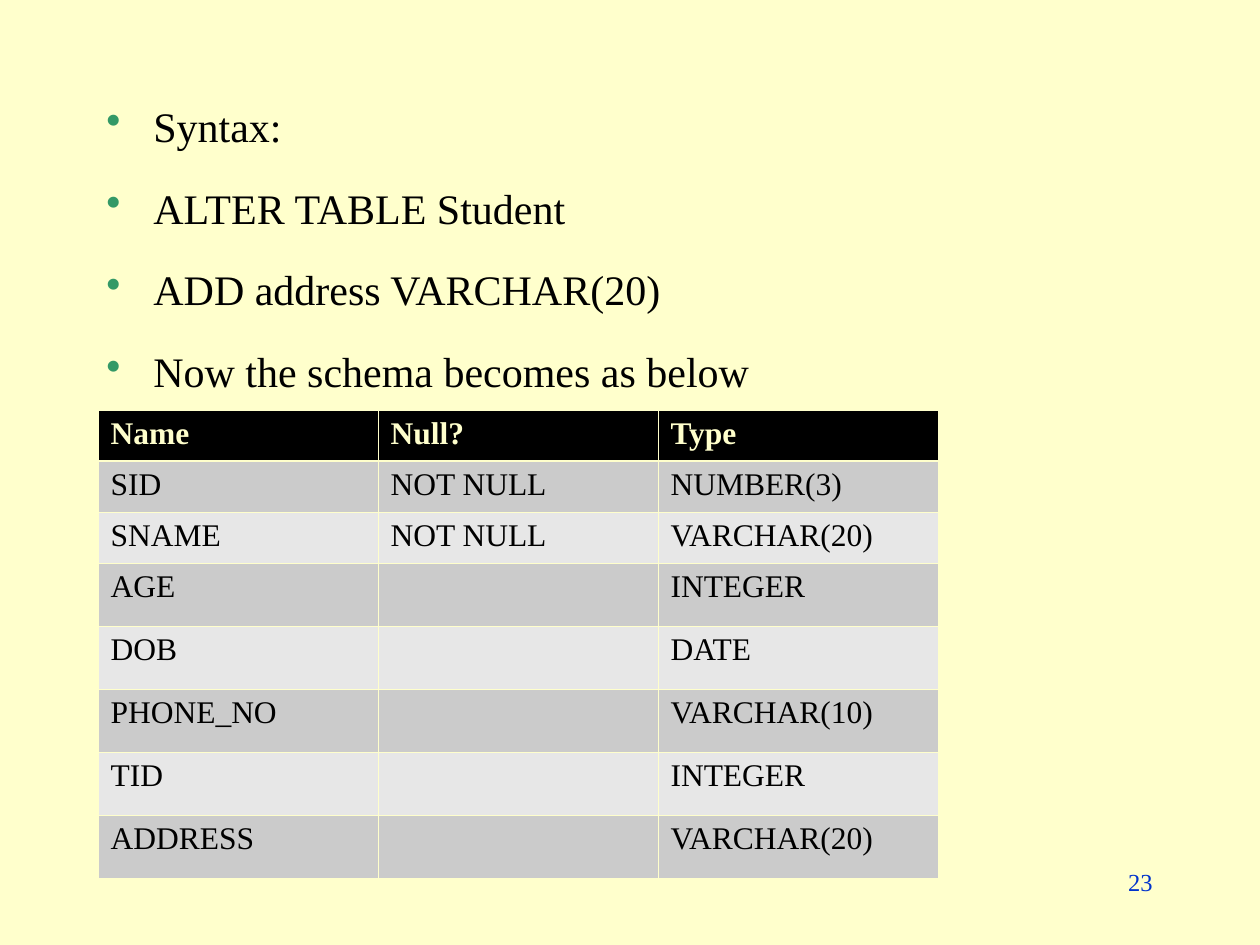
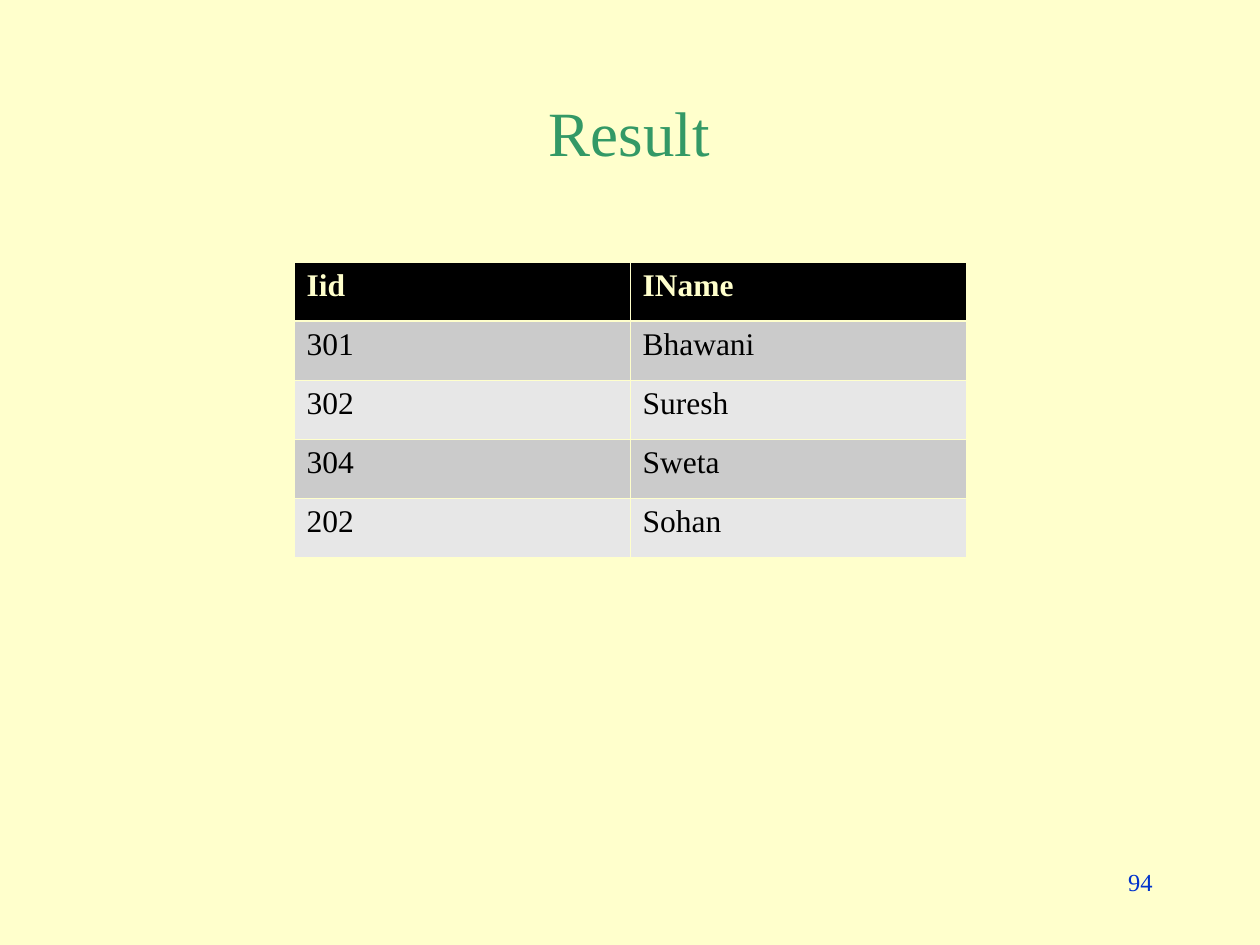
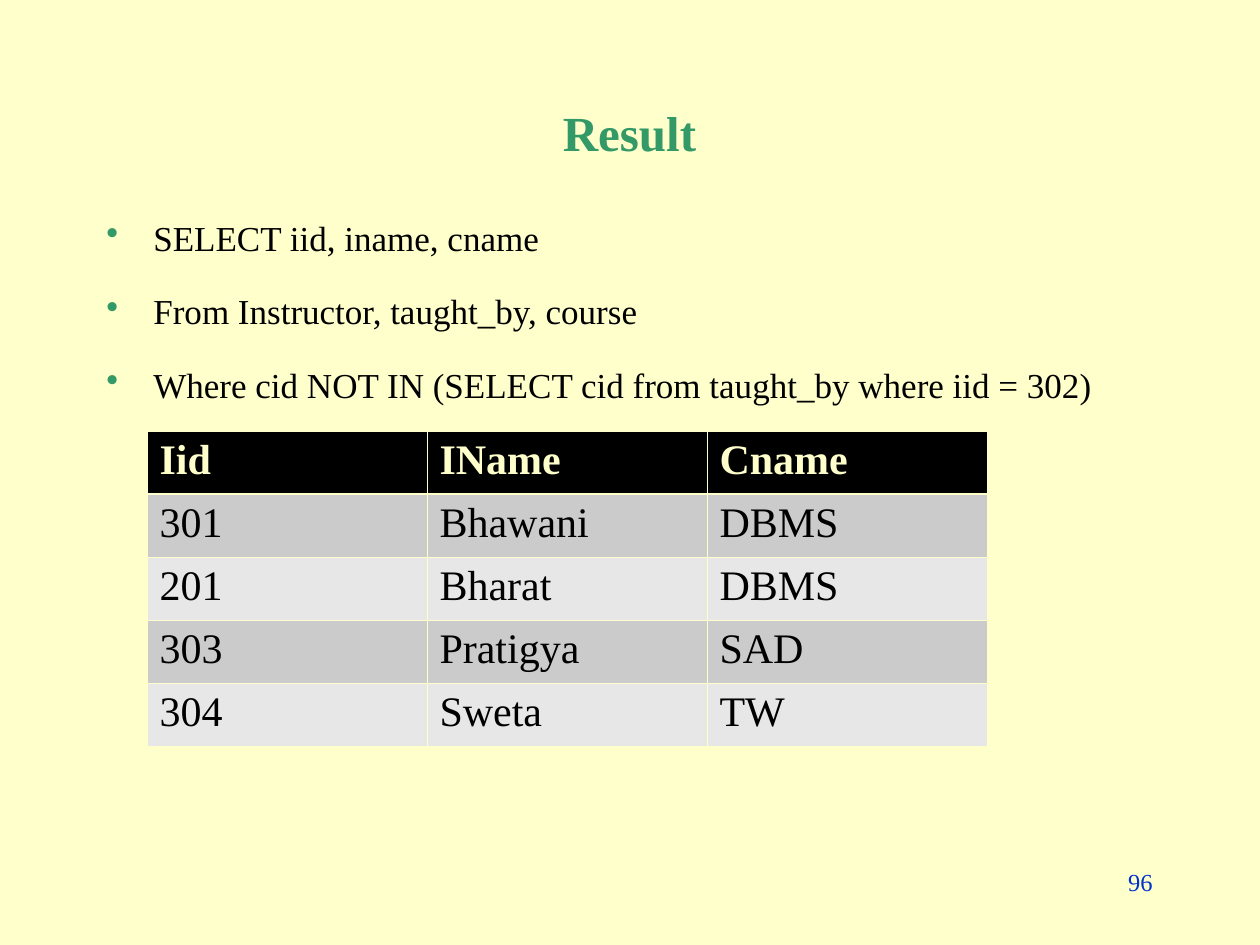
from lxml.etree import SubElement
from pptx import Presentation
from pptx.dml.color import RGBColor
from pptx.enum.text import MSO_ANCHOR as Anchor, PP_ALIGN as Align
from pptx.oxml.ns import qn
from pptx.util import Emu, Pt

FONT = "Times New Roman"
CREAM = "FFFFCC"
GREEN = "339966"
BLUE = "0033CC"
BLACK = "000000"
BANDS = ("E7E7E7", "CBCBCB")
THIN, THICK = 0.45, 1.47


def px(length):
    return Emu(round(length * 914400 / 126))


def color(code):
    return RGBColor.from_string(code)


def write(paragraph, text, size=18, ink=BLACK, bold=False, align=Align.LEFT, before=0):
    paragraph.alignment = align
    paragraph.space_before = Pt(before)
    run = paragraph.add_run()
    run.text = text
    run.font.name = FONT
    run.font.size = Pt(size)
    run.font.bold = bold
    run.font.color.rgb = color(ink)


def add_bullet(paragraph):
    properties = paragraph._p.get_or_add_pPr()
    properties.set("marL", str(px(47)))
    properties.set("indent", str(-px(47)))
    bullet_color = SubElement(properties, qn("a:buClr"))
    SubElement(bullet_color, qn("a:srgbClr"), val=GREEN)
    SubElement(properties, qn("a:buChar"), char="•")


def add_border(cell, side, width):
    properties = cell._tc.get_or_add_tcPr()
    line = SubElement(properties, qn(f"a:ln{side}"), w=str(Pt(width)))
    fill = SubElement(line, qn("a:solidFill"))
    SubElement(fill, qn("a:srgbClr"), val=CREAM)


def size_empty(paragraph, size):
    ending = SubElement(paragraph._p, qn("a:endParaRPr"), sz=str(size * 100))
    SubElement(ending, qn("a:latin"), typeface=FONT)


class Deck:
    def __init__(self):
        self.presentation = Presentation()
        self.presentation.slide_width = px(1260)
        self.presentation.slide_height = px(945)
        self.slide = None

    def add_slide(self, number):
        layout = self.presentation.slide_layouts[6]
        self.slide = self.presentation.slides.add_slide(layout)
        background = self.slide.background.fill
        background.solid()
        background.fore_color.rgb = color(CREAM)
        frame = self.add_box(903, 861, 262, 63)
        write(frame.paragraphs[0], str(number), size=14, ink=BLUE, align=Align.RIGHT)

    def add_box(self, left, top, width, height):
        shape = self.slide.shapes.add_textbox(px(left), px(top), px(width), px(height))
        shape.text_frame.word_wrap = True
        return shape.text_frame

    def add_title(self, text, size, bold=False):
        frame = self.add_box(94, 84, 1071, 95)
        frame.vertical_anchor = Anchor.MIDDLE
        write(frame.paragraphs[0], text, size=size, ink=GREEN, bold=bold, align=Align.CENTER)

    def add_bullets(self, top, height, lines, size):
        frame = self.add_box(94, top, 1071, height)
        for index, text in enumerate(lines):
            paragraph = frame.add_paragraph() if index else frame.paragraphs[0]
            write(paragraph, text, size=size, before=18 if index else 0)
            add_bullet(paragraph)

    def add_table(self, left, top, column_width, row_height, rows, size=18):
        count = len(rows[0])
        table = self.slide.shapes.add_table(
            len(rows), count, px(left), px(top),
            px(column_width * count), px(row_height * len(rows))).table
        table.horz_banding = False
        for column in table.columns:
            column.width = px(column_width)
        for row_index, values in enumerate(rows):
            table.rows[row_index].height = px(row_height)
            for column_index, text in enumerate(values):
                self.fill_cell(table.cell(row_index, column_index), row_index, text, size)

    def fill_cell(self, cell, row_index, text, size):
        header = row_index == 0
        add_border(cell, "L", THIN)
        add_border(cell, "R", THIN)
        add_border(cell, "T", THICK if row_index == 1 else THIN)
        add_border(cell, "B", THICK if header else THIN)
        cell.fill.solid()
        cell.fill.fore_color.rgb = color(BLACK if header else BANDS[row_index % 2])
        paragraph = cell.text_frame.paragraphs[0]
        if text:
            write(paragraph, text, size=size, ink=CREAM if header else BLACK, bold=header)
        else:
            size_empty(paragraph, 24)


def main():
    deck = Deck()

    deck.add_slide(23)
    deck.add_bullets(94, 746, [
        "Syntax:",
        "ALTER TABLE Student",
        "ADD address VARCHAR(20)",
        "Now the schema becomes as below",
    ], size=24)
    deck.add_table(98, 410, 280, 51, [
        ("Name", "Null?", "Type"),
        ("SID", "NOT NULL", "NUMBER(3)"),
        ("SNAME", "NOT NULL", "VARCHAR(20)"),
        ("AGE", "", "INTEGER"),
        ("DOB", "", "DATE"),
        ("PHONE_NO", "", "VARCHAR(10)"),
        ("TID", "", "INTEGER"),
        ("ADDRESS", "", "VARCHAR(20)"),
    ])

    deck.add_slide(94)
    deck.add_title("Result", size=36)
    deck.add_table(294, 262, 336, 59, [
        ("Iid", "IName"),
        ("301", "Bhawani"),
        ("302", "Suresh"),
        ("304", "Sweta"),
        ("202", "Sohan"),
    ])

    deck.add_slide(96)
    deck.add_title("Result", size=28, bold=True)
    deck.add_bullets(210, 630, [
        "SELECT iid, iname, cname",
        "From Instructor, taught_by, course",
        "Where cid NOT IN (SELECT cid from taught_by where iid = 302)",
    ], size=20)
    deck.add_table(147, 431, 280, 63, [
        ("Iid", "IName", "Cname"),
        ("301", "Bhawani", "DBMS"),
        ("201", "Bharat", "DBMS"),
        ("303", "Pratigya", "SAD"),
        ("304", "Sweta", "TW"),
    ], size=24)

    deck.presentation.save("out.pptx")


if __name__ == "__main__":
    main()
